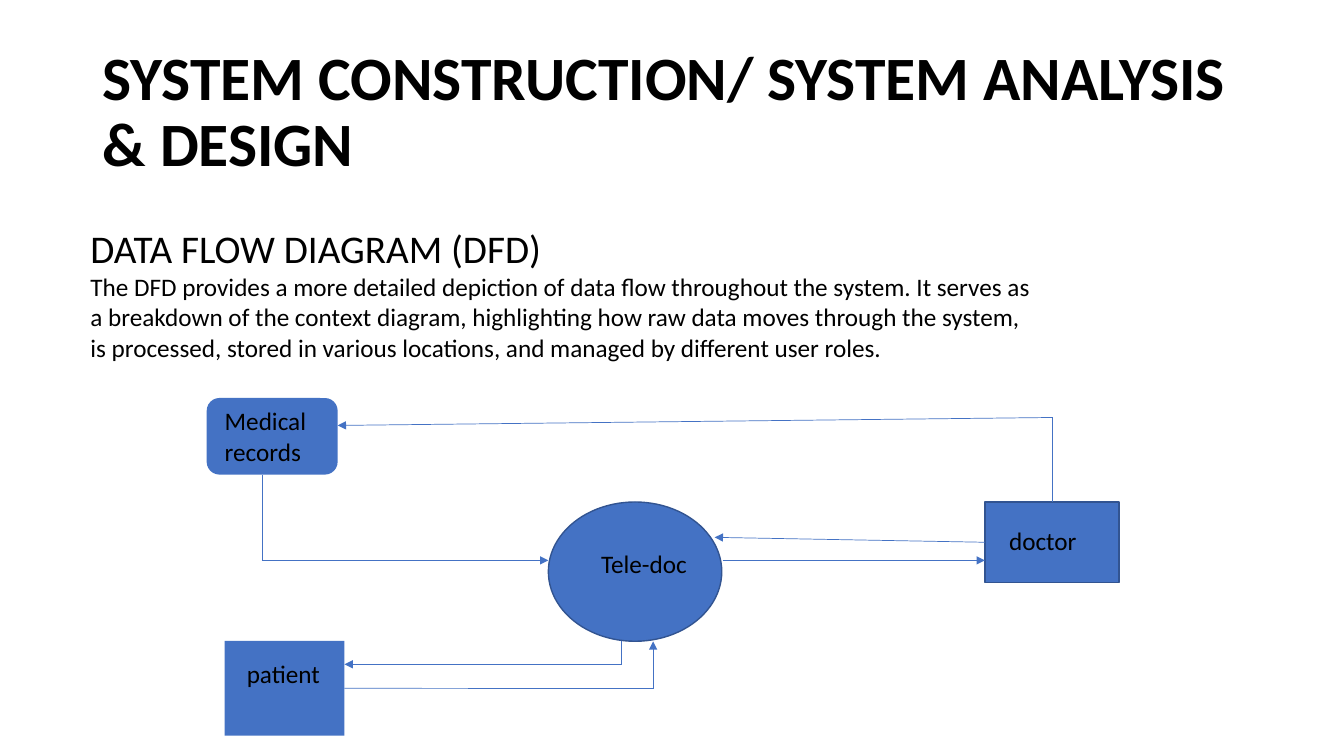
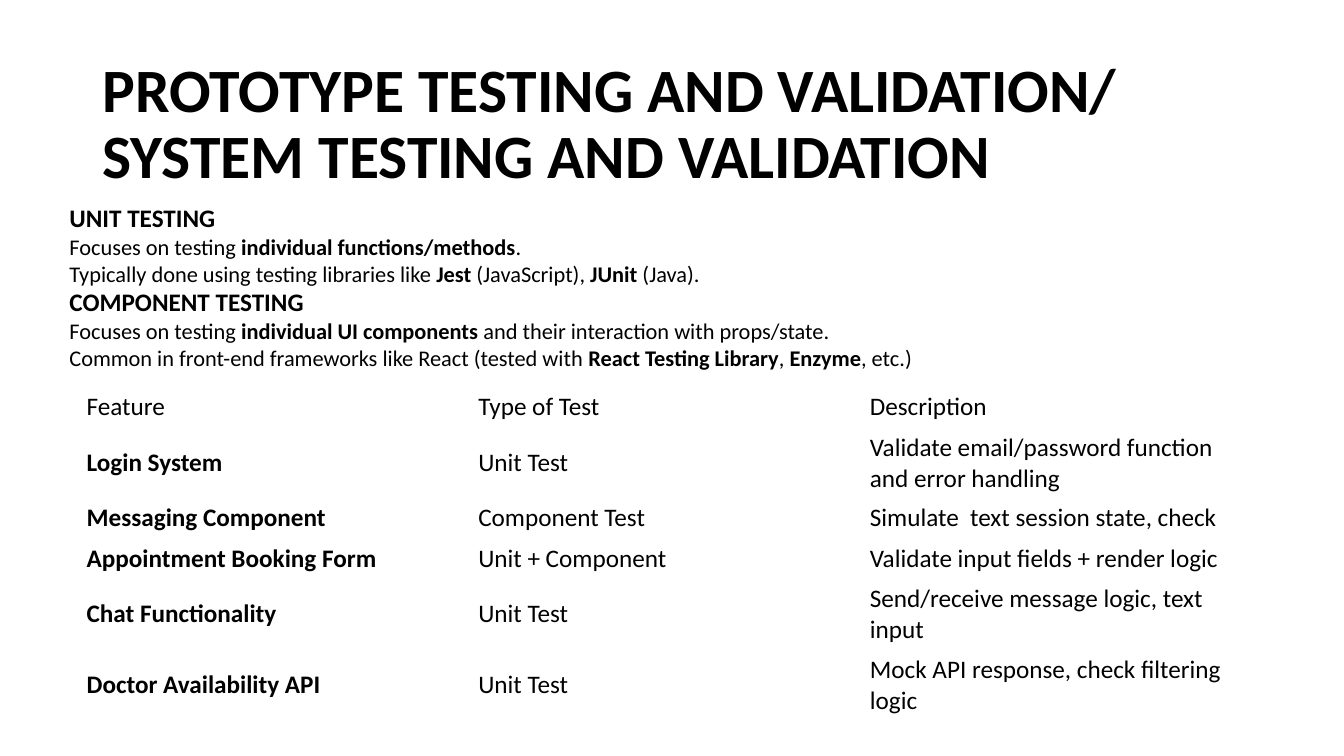
from dataclasses import dataclass
from itertools import pairwise

from lxml import etree
from pptx import Presentation
from pptx.dml.color import RGBColor
from pptx.enum.shapes import MSO_CONNECTOR, MSO_SHAPE
from pptx.enum.text import MSO_ANCHOR, PP_ALIGN
from pptx.oxml.ns import qn
from pptx.util import Cm, Pt

STRAIGHT = MSO_CONNECTOR.STRAIGHT
ELLIPSE = MSO_SHAPE.OVAL
RECTANGLE = MSO_SHAPE.RECTANGLE
ROUNDED = MSO_SHAPE.ROUNDED_RECTANGLE
TOP = MSO_ANCHOR.TOP
MIDDLE = MSO_ANCHOR.MIDDLE
LEFT = PP_ALIGN.LEFT

BLACK = RGBColor(0x00, 0x00, 0x00)
BLUE = RGBColor(0x44, 0x72, 0xC4)
DARK_BLUE = RGBColor(0x32, 0x54, 0x91)

FONT = "Calibri"
TITLE_SIZE = 44
HEADING_SIZE = 28
BODY_SIZE = 18
DETAIL_SIZE = 16
TOP_SIDE, LEFT_SIDE, RIGHT_SIDE = 0, 1, 3


@dataclass(frozen=True)
class Span:
    text: str
    bold: bool = False


@dataclass(frozen=True)
class Para:
    spans: tuple[Span, ...]
    size: int = BODY_SIZE
    line_spacing: float = 1.0


@dataclass(frozen=True)
class Box:
    left: float
    top: float
    width: float
    height: float

    def lengths(self):
        return Cm(self.left), Cm(self.top), Cm(self.width), Cm(self.height)


@dataclass(frozen=True)
class Node:
    label: str
    kind: int
    box: Box
    inset_left: float
    inset_top: float
    outlined: bool = False


@dataclass(frozen=True)
class Flow:
    points: tuple[tuple[float, float], ...]
    source: str = ""
    side: int = TOP_SIDE


NODES = (
    Node("Tele-doc", ELLIPSE, Box(13.82, 12.65, 4.37, 3.51), 0.69, 0.66, True),
    Node("doctor", RECTANGLE, Box(24.82, 12.65, 3.38, 2.03), 0.61, 0.58, True),
    Node("patient", RECTANGLE, Box(5.66, 16.15, 3.02, 2.39), 0.56, 0.43),
    Node("Medical records", ROUNDED, Box(5.21, 10.03, 3.3, 1.93), 0.36, 0.1),
)

FLOWS = (
    Flow(((26.51, 12.65), (26.51, 10.52), (8.51, 10.72)), "doctor", TOP_SIDE),
    Flow(((8.68, 17.35), (16.46, 17.35), (16.46, 16.16)), "patient", RIGHT_SIDE),
    Flow(((18.21, 14.12), (24.82, 14.12))),
    Flow(((24.82, 13.66), (18.01, 13.54)), "doctor", LEFT_SIDE),
    Flow(((6.6, 11.96), (6.6, 14.12), (13.82, 14.12))),
    Flow(((15.67, 16.16), (15.67, 16.74), (8.68, 16.74))),
)

DIAGRAM_INTRO = (
    Para((Span("DATA FLOW DIAGRAM (DFD)"),), HEADING_SIZE),
    Para((Span(
        "The DFD provides a more detailed depiction of data flow throughout the system. "
        "It serves as a breakdown of the context diagram, highlighting how raw data moves "
        "through the system, is processed, stored in various locations, and managed by "
        "different user roles."
    ),)),
)

TESTING_NOTES = (
    Para((Span("UNIT TESTING", True),)),
    Para((
        Span("Focuses on testing "),
        Span("individual functions/methods", True),
        Span("."),
    ), DETAIL_SIZE),
    Para((
        Span("Typically done using testing libraries like "),
        Span("Jest", True),
        Span(" (JavaScript), "),
        Span("JUnit", True),
        Span(" (Java)."),
    ), DETAIL_SIZE),
    Para((Span("COMPONENT TESTING", True),)),
    Para((
        Span("Focuses on testing "),
        Span("individual UI components", True),
        Span(" and their interaction with props/state."),
    ), DETAIL_SIZE),
    Para((
        Span("Common in front-end frameworks like React (tested with "),
        Span("React Testing Library", True),
        Span(", "),
        Span("Enzyme", True),
        Span(", etc.)"),
    ), DETAIL_SIZE),
)

TEST_ROWS = (
    ("Feature", "Type of Test", "Description"),
    ("Login System", "Unit Test", "Validate email/password function and error handling"),
    ("Messaging Component", "Component Test", "Simulate  text session state, check"),
    ("Appointment Booking Form", "Unit + Component", "Validate input fields + render logic"),
    ("Chat Functionality", "Unit Test", "Send/receive message logic, text input"),
    ("Doctor Availability API", "Unit Test", "Mock API response, check filtering logic"),
)
ROW_HEIGHTS = (0.89, 1.55, 0.89, 0.89, 1.55, 1.55)
COLUMN_WIDTH = 9.87


def write_paras(frame, paras: tuple[Para, ...]) -> None:
    frame.word_wrap = True
    for index, para in enumerate(paras):
        target = frame.add_paragraph() if index else frame.paragraphs[0]
        target.alignment = LEFT
        target.line_spacing = para.line_spacing
        for span in para.spans:
            run = target.add_run()
            run.text = span.text
            run.font.name = FONT
            run.font.size = Pt(para.size)
            run.font.bold = span.bold
            run.font.color.rgb = BLACK


def add_text(page, box: Box, paras: tuple[Para, ...], anchor=MIDDLE) -> None:
    frame = page.shapes.add_textbox(*box.lengths()).text_frame
    frame.vertical_anchor = anchor
    write_paras(frame, paras)


def add_page(deck, title: str, title_top: float):
    page = deck.slides.add_slide(deck.slide_layouts[6])
    title_para = Para((Span(title, True),), TITLE_SIZE, 0.9)
    add_text(page, Box(2.34, title_top, 29.21, 3.68), (title_para,))
    return page


def add_node(page, node: Node):
    shape = page.shapes.add_shape(node.kind, *node.box.lengths())
    shape.shadow.inherit = False
    shape.fill.solid()
    shape.fill.fore_color.rgb = BLUE
    if node.outlined:
        shape.line.color.rgb = DARK_BLUE
        shape.line.width = Pt(1)
    else:
        shape.line.fill.background()
    frame = shape.text_frame
    frame.margin_left, frame.margin_top = Cm(node.inset_left), Cm(node.inset_top)
    frame.margin_right = frame.margin_bottom = Cm(0)
    frame.vertical_anchor = TOP
    write_paras(frame, (Para((Span(node.label),)),))
    return shape


def add_flow(page, flow: Flow, shapes: dict) -> None:
    segments = list(pairwise(flow.points))
    for index, (start, end) in enumerate(segments):
        line = page.shapes.add_connector(STRAIGHT, *map(Cm, start + end))
        line.line.color.rgb = BLUE
        line.line.width = Pt(0.5)
        if index == 0 and flow.source:
            line.begin_connect(shapes[flow.source], flow.side)
        properties = line._element.spPr
        if index == len(segments) - 1:
            outline = properties.find(qn("a:ln"))
            etree.SubElement(outline, qn("a:tailEnd"), type="triangle")
        etree.SubElement(properties, qn("a:effectLst"))


def add_test_table(page, left: float, top: float) -> None:
    columns = len(TEST_ROWS[0])
    box = Box(left, top, COLUMN_WIDTH * columns, sum(ROW_HEIGHTS))
    table = page.shapes.add_table(len(TEST_ROWS), columns, *box.lengths()).table
    table.first_row = False
    table.horz_banding = False
    for column in table.columns:
        column.width = Cm(COLUMN_WIDTH)
    for row_index, texts in enumerate(TEST_ROWS):
        table.rows[row_index].height = Cm(ROW_HEIGHTS[row_index])
        for column_index, text in enumerate(texts):
            cell = table.cell(row_index, column_index)
            cell.fill.background()
            cell.vertical_anchor = MIDDLE
            bold = row_index > 0 and column_index == 0
            write_paras(cell.text_frame, (Para((Span(text, bold),)),))


def add_diagram_page(deck) -> None:
    page = add_page(deck, "SYSTEM CONSTRUCTION/ SYSTEM ANALYSIS & DESIGN", 1.02)
    add_text(page, Box(2.03, 5.51, 24.46, 3.76), DIAGRAM_INTRO)
    shapes = {node.label: add_node(page, node) for node in NODES}
    for flow in FLOWS:
        add_flow(page, flow, shapes)


def add_testing_page(deck) -> None:
    page = add_page(deck, "PROTOTYPE TESTING AND VALIDATION/ SYSTEM TESTING AND VALIDATION", 1.32)
    add_test_table(page, 1.93, 9.75)
    add_text(page, Box(1.5, 4.98, 31.5, 4.6), TESTING_NOTES, TOP)


def main() -> None:
    deck = Presentation()
    deck.slide_width, deck.slide_height = Cm(33.87), Cm(19.05)
    add_diagram_page(deck)
    add_testing_page(deck)
    deck.save("out.pptx")


if __name__ == "__main__":
    main()
